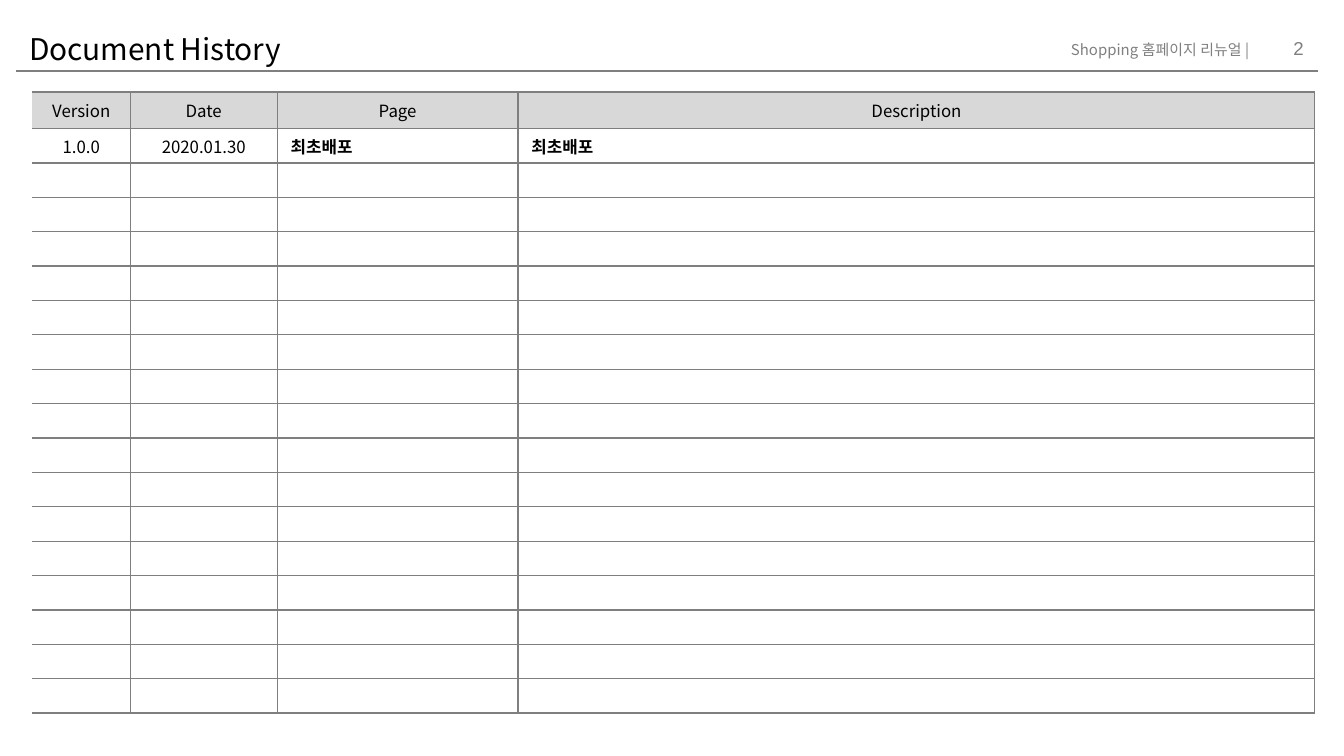
from lxml.etree import SubElement
from pptx import Presentation
from pptx.dml.color import RGBColor
from pptx.enum.shapes import MSO_CONNECTOR as Connector
from pptx.enum.text import MSO_ANCHOR as Anchor, PP_ALIGN as Align
from pptx.oxml import parse_xml
from pptx.oxml.ns import nsdecls, qn
from pptx.util import Cm, Pt

SANS = "Noto Sans CJK KR"
BLACK, GRAY, HEADER, WHITE = "000000", "7F7F7F", "D8D8D8", "FFFFFF"


def color(value):
    return RGBColor.from_string(value)


def add_run(paragraph, text, size, font, text_color, bold=False):
    run = paragraph.add_run()
    run.text = text
    run.font.size = Pt(size)
    run.font.name = font
    run.font.bold = bold
    run.font.color.rgb = color(text_color)
    SubElement(run.font._element, qn("a:ea"), typeface=font)


presentation = Presentation()
presentation.slide_width = Cm(25.4)
presentation.slide_height = Cm(14.29)
slide = presentation.slides.add_slide(presentation.slide_layouts[6])

rule = slide.shapes.add_connector(Connector.STRAIGHT, Cm(0.3), Cm(1.35), Cm(24.9), Cm(1.35))
rule.line.color.rgb = color(GRAY)
rule.line.width = Pt(1)
SubElement(rule._element.spPr, qn("a:effectLst"))

labels = [
    ("Shopping 홈페이지 리뉴얼 |", 19.69, 0.64, 4.17, 0.61, 8, SANS, GRAY, Align.RIGHT, Anchor.TOP, 0.13),
    ("2", 23.37, 0.53, 1.52, 0.76, 10, "Arial", GRAY, Align.RIGHT, Anchor.MIDDLE, 0.13),
    ("Document History", 0.3, 0.33, 19.53, 0.76, 16, SANS, BLACK, Align.LEFT, Anchor.TOP, 0.25),
]
for text, left, top, width, height, size, font, text_color, align, anchor, inset in labels:
    box = slide.shapes.add_textbox(Cm(left), Cm(top), Cm(width), Cm(height))
    frame = box.text_frame
    frame.word_wrap = True
    frame.vertical_anchor = anchor
    frame.margin_top = frame.margin_bottom = Cm(inset)
    paragraph = frame.paragraphs[0]
    paragraph.alignment = align
    add_run(paragraph, text, size, font, text_color)

column_widths = [1.85, 2.78, 4.55, 15.06]
row_heights = [0.69] + [0.65] * 17
entries = [
    ["Version", "Date", "Page", "Description"],
    ["1.0.0", "2020.01.30", "최초배포", "최초배포"],
]
table_frame = slide.shapes.add_table(
    len(row_heights), len(column_widths), Cm(0.61), Cm(1.74),
    Cm(sum(column_widths)), Cm(sum(row_heights)))
table = table_frame.table
table.first_row = table.horz_banding = False
table._tbl.tblPr.find(qn("a:tableStyleId")).text = "{2D5ABB26-0587-4C30-8999-92F81FD0307C}"
for column, width in zip(table.columns, column_widths):
    column.width = Cm(width)

for row_index, height in enumerate(row_heights):
    table.rows[row_index].height = Cm(height)
    for column_index in range(len(column_widths)):
        cell = table.cell(row_index, column_index)
        cell.margin_top = cell.margin_bottom = Cm(0.1)
        cell.fill.solid()
        cell.fill.fore_color.rgb = color(WHITE if row_index else HEADER)
        cell.vertical_anchor = Anchor.TOP if row_index else Anchor.MIDDLE
        properties = cell._tc.get_or_add_tcPr()
        for position, side in enumerate(["lnR", "lnT", "lnB"]):
            properties.insert(position, parse_xml(
                f'<a:{side} {nsdecls("a")} w="{Pt(0.75)}"><a:solidFill>'
                f'<a:srgbClr val="{GRAY}"/></a:solidFill></a:{side}>'))
        paragraph = cell.text_frame.paragraphs[0]
        if row_index < len(entries):
            is_note = row_index > 0 and column_index > 1
            paragraph.alignment = Align.LEFT if is_note else Align.CENTER
            add_run(paragraph, entries[row_index][column_index], 9, SANS, BLACK, is_note)
        else:
            SubElement(paragraph._p, qn("a:endParaRPr"), sz="900")

presentation.save("out.pptx")
